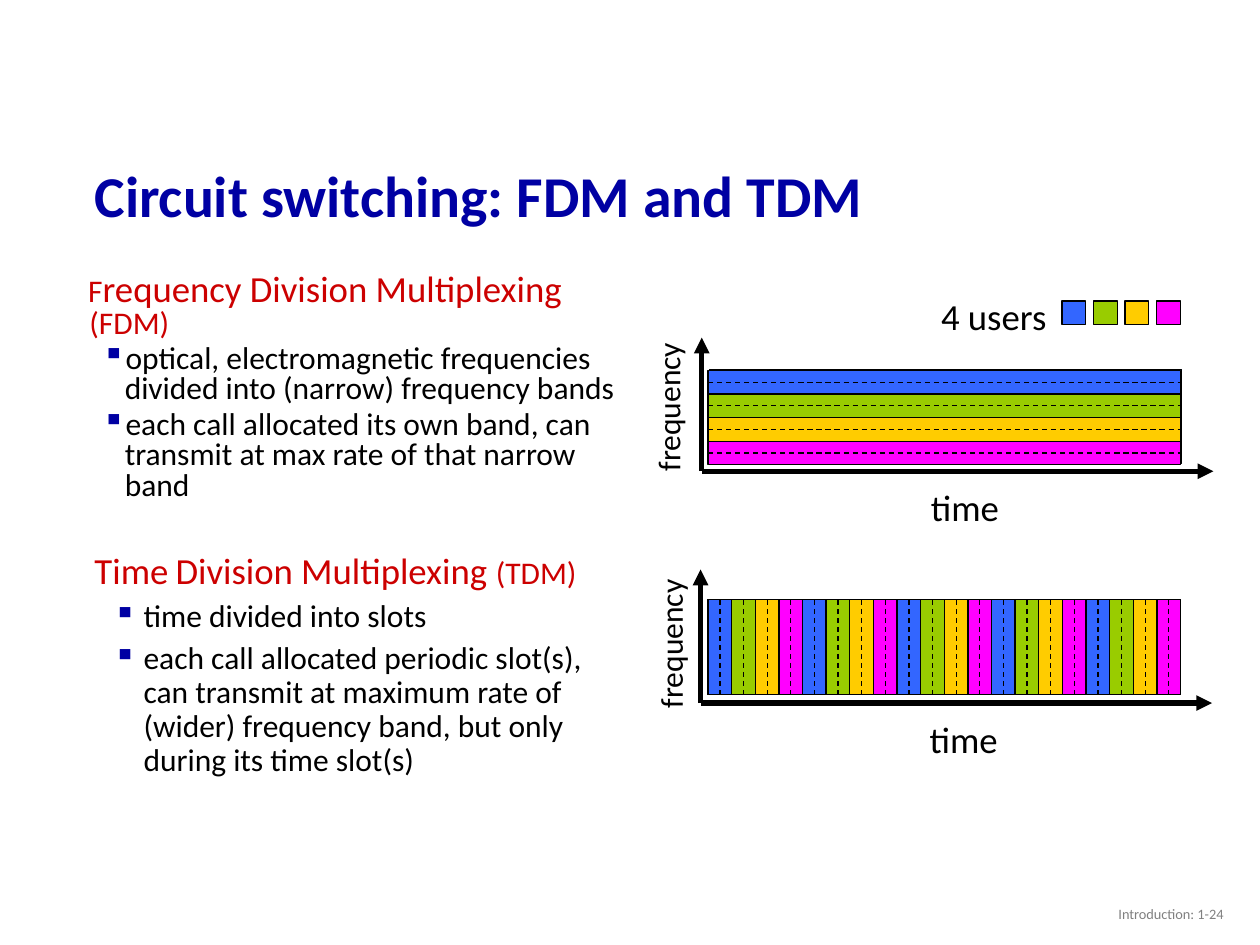
from pptx import Presentation
from pptx import util as u
from pptx.dml.color import RGBColor
from pptx.enum import dml, shapes, text
from pptx.oxml.ns import qn
from lxml import etree

COLS, ROWS = 100, 75
NAVY, RED, BLACK, GRAY = "0000A3", "CC0000", "000000", "808080"
USERS = ["3366FF", "99CC00", "FFCC00", "FF00FF"]
SLOTS = 20
BAND = 1.875
PLOT_W, PLOT_H = SLOTS * BAND, len(USERS) * BAND


def color(value):
    return RGBColor.from_string(value)


def write(paragraph, words, size=18, tint=BLACK, bold=False):
    run = paragraph.add_run()
    run.text = words
    run.font.name = "Calibri"
    run.font.size = u.Pt(size)
    run.font.bold = bold
    run.font.color.rgb = color(tint)


def indent(paragraph, left, hanging, bullet=None):
    """Set a hanging indent in inches, with an optional bullet."""
    props = paragraph._p.get_or_add_pPr()
    props.set("marL", str(u.Inches(left)))
    props.set("indent", str(-u.Inches(hanging)))
    if bullet:
        tint = etree.SubElement(props, qn("a:buClr"))
        etree.SubElement(tint, qn("a:srgbClr"), val=NAVY)
        etree.SubElement(props, qn("a:buChar"), char=bullet)
    else:
        etree.SubElement(props, qn("a:buNone"))


class Board:
    """The current slide, its grid and its style."""

    def __init__(self, deck):
        self.col = deck.slide_width / COLS
        self.row = deck.slide_height / ROWS
        self.slide = deck.slides.add_slide(deck.slide_layouts[5])

    def place(self, *at):
        return [round(v * unit) for v, unit in zip(at, (self.col, self.row) * 2)]

    def title(self, words, at):
        box = self.slide.shapes.title
        box.left, box.top, box.width, box.height = self.place(*at)
        frame = box.text_frame
        frame.auto_size = text.MSO_AUTO_SIZE.NONE
        frame.vertical_anchor = text.MSO_ANCHOR.MIDDLE
        frame.margin_left = frame.margin_right = u.Inches(0.07)
        heading = frame.paragraphs[0]
        heading.alignment = text.PP_ALIGN.LEFT
        heading.line_spacing = 0.9
        write(heading, words, size=33, tint=NAVY, bold=True)

    def label(self, words, at, size=21, tint=BLACK, rotation=0, align=text.PP_ALIGN.LEFT):
        box = self.slide.shapes.add_textbox(*self.place(*at))
        box.rotation = rotation
        frame = box.text_frame
        frame.word_wrap = align == text.PP_ALIGN.RIGHT
        frame.vertical_anchor = text.MSO_ANCHOR.MIDDLE
        frame.paragraphs[0].alignment = align
        write(frame.paragraphs[0], words, size=size, tint=tint)

    def topic(self, heading, points, at, spacing, before, left, hanging):
        """Write a heading of (words, size) parts above bulleted points."""
        frame = self.slide.shapes.add_textbox(*self.place(*at)).text_frame
        frame.word_wrap = True
        frame.margin_left = frame.margin_right = u.Inches(0.07)
        frame.margin_top = frame.margin_bottom = u.Inches(0.04)
        first = frame.paragraphs[0]
        first.line_spacing = spacing
        indent(first, 0.01, 0.01)
        for words, size in heading:
            write(first, words, size=size, tint=RED)
        for words in points:
            point = frame.add_paragraph()
            point.line_spacing = spacing
            point.space_before = u.Pt(before)
            indent(point, left, hanging, "▪")
            write(point, words)

    def block(self, at, fill):
        rect = self.slide.shapes.add_shape(shapes.MSO_SHAPE.RECTANGLE, *self.place(*at))
        rect.shadow.inherit = False
        rect.fill.solid()
        rect.fill.fore_color.rgb = color(fill)
        rect.line.color.rgb = color(BLACK)
        rect.line.width = u.Pt(0.75)

    def line(self, start, end, width=0.75, dashed=False, arrow=False):
        rule = self.slide.shapes.add_connector(
            shapes.MSO_CONNECTOR.STRAIGHT, *self.place(*start, *end))
        rule.line.color.rgb = color(BLACK)
        rule.line.width = u.Pt(width)
        if dashed:
            rule.line.dash_style = dml.MSO_LINE.DASH
        if arrow:
            etree.SubElement(rule.line._get_or_add_ln(), qn("a:tailEnd"), type="triangle")
        etree.SubElement(rule._element.spPr, qn("a:effectLst"))

    def axes(self, x, y, frequency_at, frame_at):
        self.line((x, y), (x, y - 10.6), width=3, arrow=True)
        self.label("frequency", (*frequency_at, 12.4, 4), size=18, rotation=270)
        self.line((x, y), (x + 40.6, y), width=3, arrow=True)
        self.label("time", (x + 17.2, y + 0.6, 7.5, 4.5))
        self.block((*frame_at, PLOT_W, PLOT_H), "4472C4")

    def frequency_bands(self, x, y):
        tops = [y + i * BAND for i in range(len(USERS))]
        for top, user in zip(tops, USERS):
            self.block((x, top, PLOT_W, BAND), user)
        for top in tops[1:]:
            self.line((x, top), (x + PLOT_W, top))
        for top in tops:
            middle = top + BAND / 2
            self.line((x, middle), (x + PLOT_W, middle), dashed=True)

    def time_slots(self, x, y):
        lefts = [x + i * BAND for i in range(SLOTS)]
        for i, left in enumerate(lefts):
            self.block((left, y, BAND, PLOT_H), USERS[i % len(USERS)])
        for left in lefts[1:]:
            self.line((left, y), (left, y + PLOT_H))
        for left in lefts:
            middle = left + BAND / 2
            self.line((middle, y), (middle, y + PLOT_H), dashed=True)

    def legend(self, x, y):
        self.label("4 users", (x - 10.6, y - 1.1, 10.5, 4.5))
        for i, user in enumerate(USERS):
            self.block((x + 2.5 * i, y, BAND, BAND), user)


def main():
    deck = Presentation()
    deck.slide_width, deck.slide_height = u.Inches(10), u.Inches(7.5)
    board = Board(deck)
    board.title("Circuit switching: FDM and TDM", (6.8, 12.1, 86.2, 7.3))
    board.label("Introduction: 1-24", (75.6, 70.5, 22.5, 4), size=8.2, tint=GRAY,
                align=text.PP_ALIGN.RIGHT)

    board.axes(55.7, 37.4, frequency_at=(46.8, 30.2), frame_at=(56.3, 29.3))
    board.frequency_bands(56.2, 29.4)
    board.axes(55.6, 55.8, frequency_at=(47, 49), frame_at=(56.2, 47.6))
    board.time_slots(56.2, 47.6)
    board.legend(84.3, 23.9)

    board.topic(
        [("F", 18), ("requency Division Multiplexing ", 21), ("(FDM)", 18)],
        ["optical, electromagnetic frequencies divided into (narrow) frequency bands",
         "each call allocated its own band, can transmit at max rate of that narrow band"],
        (6.3, 21.4, 43.2, 23.5), spacing=0.8, before=3, left=0.29, hanging=0.18)
    board.topic(
        [("Time", 21), (" ", 18), ("Division Multiplexing ", 21), ("(TDM)", 18)],
        ["time divided into slots",
         "each call allocated periodic slot(s), can transmit at maximum rate of "
         "(wider) frequency band, but only during its time slot(s)"],
        (6.8, 43.5, 43.3, 20.2), spacing=0.9, before=4.5, left=0.39, hanging=0.24)
    deck.save("out.pptx")


if __name__ == "__main__":
    main()
